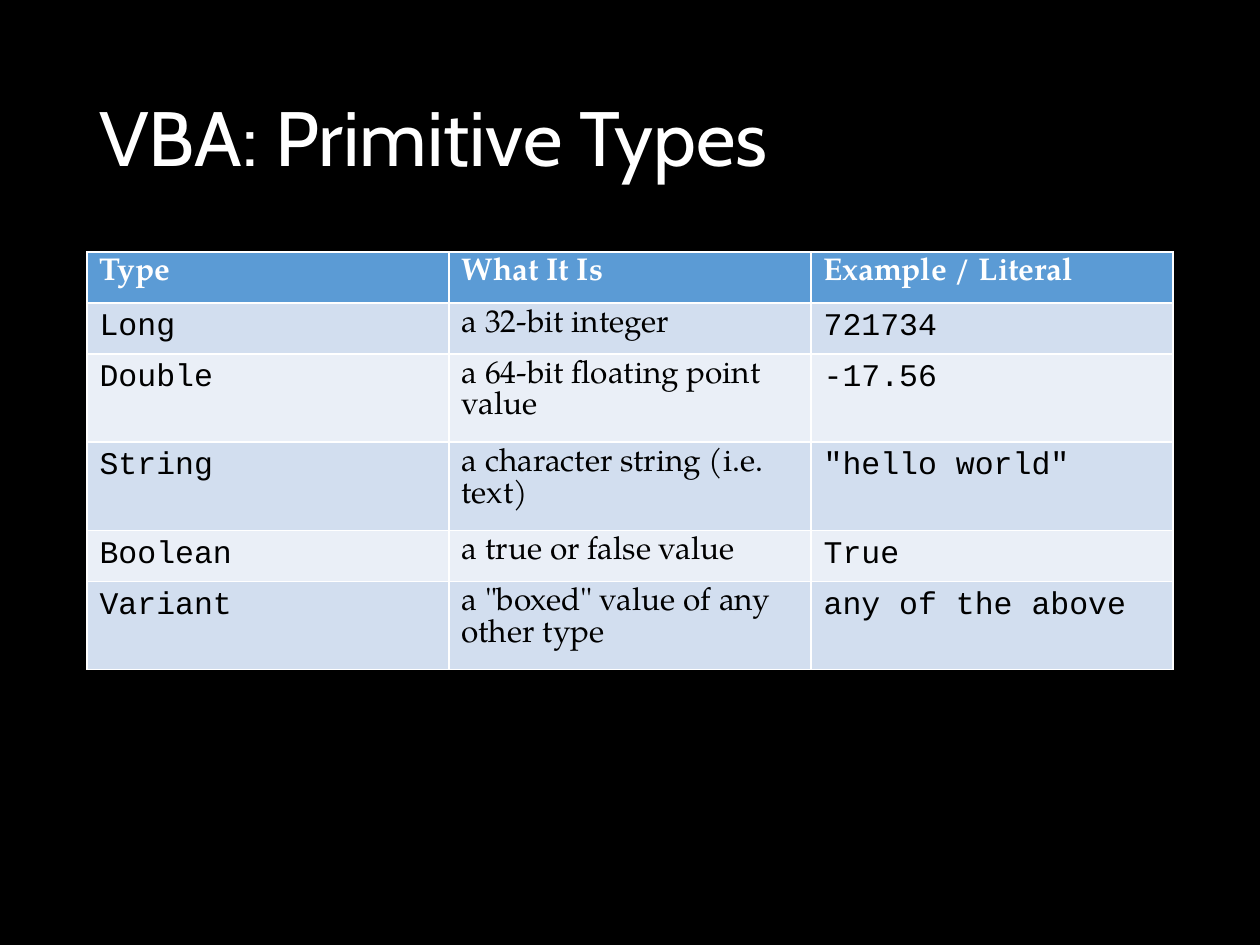
"""Build a slide with a table of the VBA primitive types."""
from pptx import Presentation
from pptx.dml.color import RGBColor
from pptx.enum import text
from pptx.util import Inches, Pt


def paint(target, color):
    target.solid()
    target.fore_color.rgb = RGBColor.from_string(color)


def style_font(font, name, size, color, bold=False):
    font.name, font.size, font.bold = name, Pt(size), bold
    paint(font.fill, color)


ROWS = [
    ("Type", "What It Is", "Example / Literal"),
    ("Long", "a 32-bit integer", "721734"),
    ("Double", "a 64-bit floating point value", "-17.56"),
    ("String", "a character string (i.e. text)", '"hello world"'),
    ("Boolean", "a true or false value", "True"),
    ("Variant", 'a "boxed" value of any other type', "any of the above"),
]
BODY_FONT, CODE_FONT = "TeX Gyre Pagella", "Courier New"
HEADER_FILL, BAND_FILLS = "5B9BD5", ("EAEFF7", "D2DEEF")

presentation = Presentation()
presentation.slide_width, presentation.slide_height = Inches(10), Inches(7.5)
slide = presentation.slides.add_slide(presentation.slide_layouts[6])
paint(slide.background.fill, "000000")

title = slide.shapes.add_textbox(Inches(0.69), Inches(0.4), Inches(8.62), Inches(1.45))
title.text_frame.word_wrap = True
title.text_frame.vertical_anchor = text.MSO_ANCHOR.MIDDLE
paragraph = title.text_frame.paragraphs[0]
paragraph.text = "VBA: Primitive Types"
paragraph.line_spacing = 0.9
style_font(paragraph.font, "Cabin", 44, "FFFFFF")

table = slide.shapes.add_table(
    len(ROWS), 3, Inches(0.69), Inches(2), Inches(8.62), Inches(0.405 * len(ROWS))
).table
for row_index, row in enumerate(ROWS):
    is_header = row_index == 0
    for column_index, value in enumerate(row):
        cell = table.cell(row_index, column_index)
        paint(cell.fill, HEADER_FILL if is_header else BAND_FILLS[row_index % 2])
        paragraph = cell.text_frame.paragraphs[0]
        paragraph.text = value
        font_name = BODY_FONT if is_header or column_index == 1 else CODE_FONT
        style_font(paragraph.font, font_name, 18, "FFFFFF" if is_header else "000000", is_header)

presentation.save("out.pptx")
